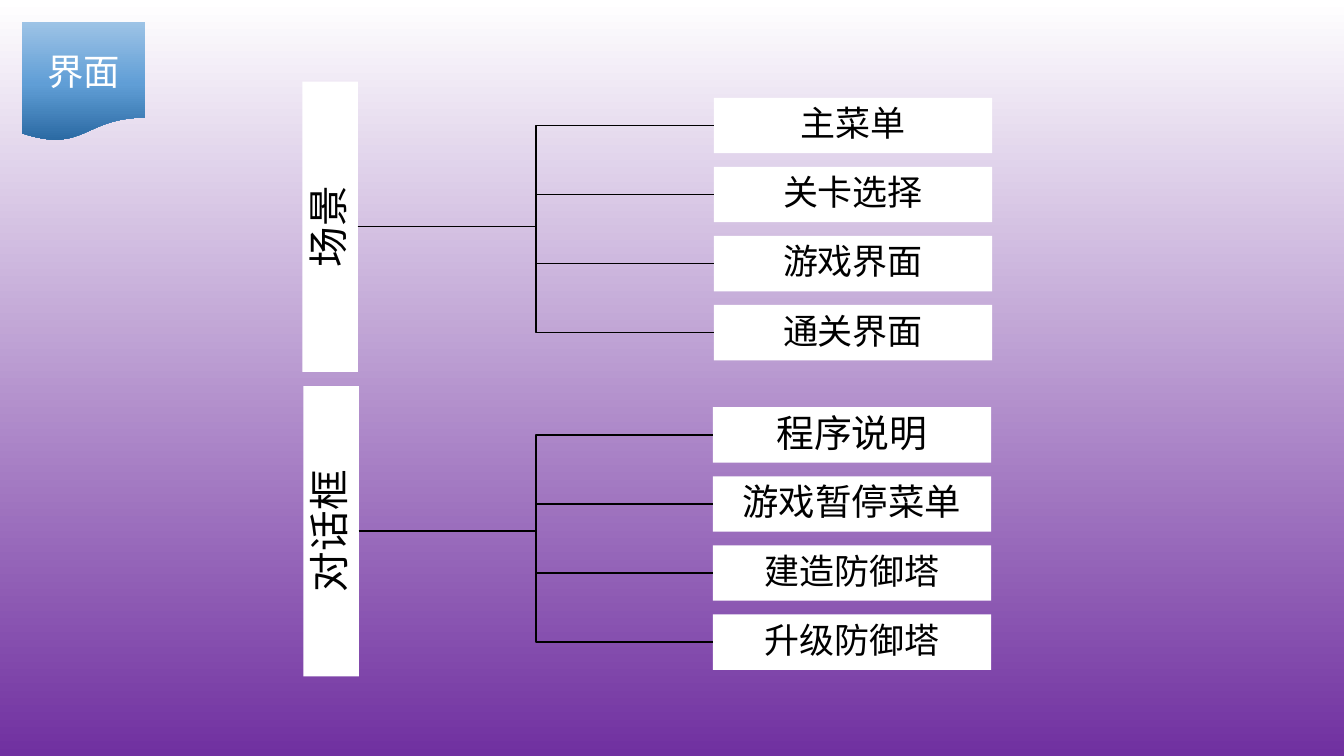
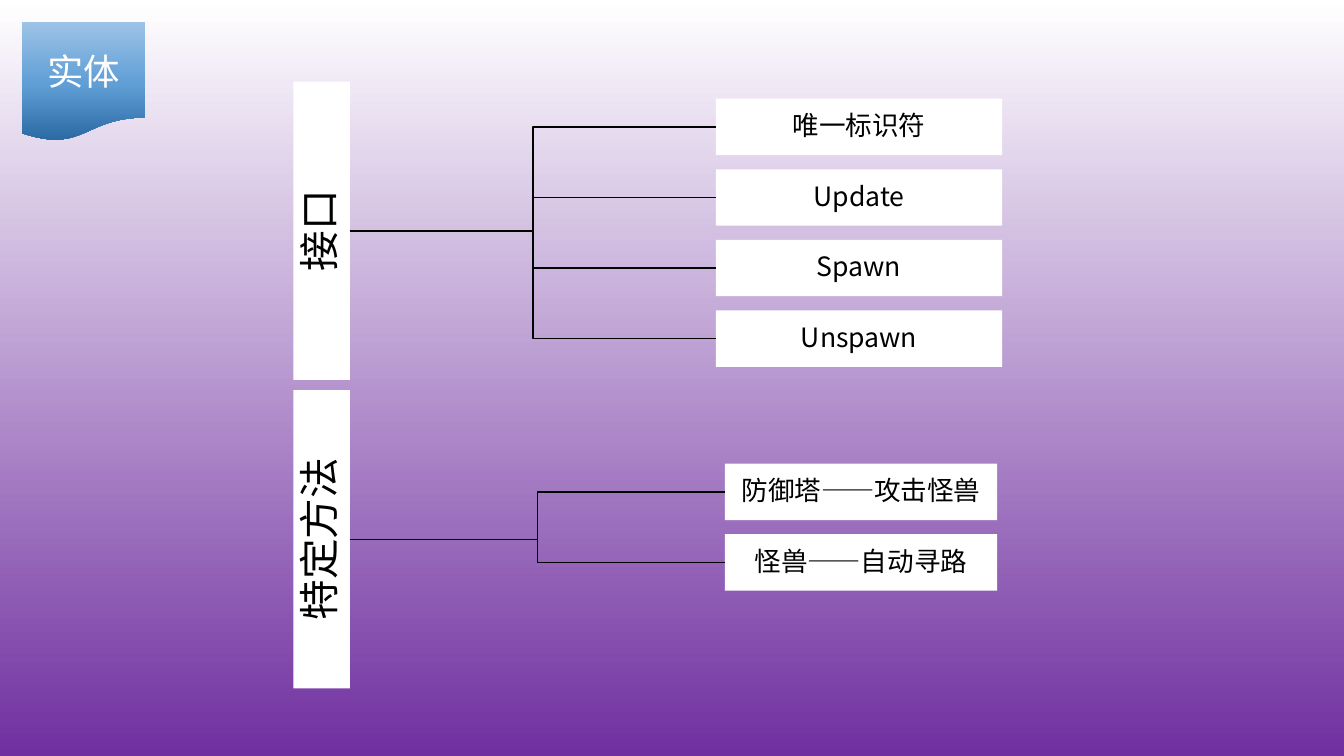
import pptx
import pptx.dml.color
import pptx.enum.shapes
import pptx.enum.text
import pptx.oxml.ns
import pptx.util
from copy import deepcopy
from lxml import etree

Inches = pptx.util.Inches
qn = pptx.oxml.ns.qn
SHAPES = pptx.enum.shapes.MSO_SHAPE

FONT = "Noto Sans CJK SC"
COLORS = {
    "white": "FFFFFF",
    "black": "000000",
    "purple": "7030A0",
    "ribbon_light": "9DC3E6",
    "ribbon_mid": "609ED6",
    "ribbon_dark": "2A69A2",
}
RIBBON_BOX = (0.22, 0.22, 1.22, 1.18)
TITLE_BOX = (0.22, 0.22, 1.22, 0.97)

# Each tree: trunk box, first leaf box, leaf pitch, leaf texts with sizes
SLIDES = [
    ("界面", [
        {"trunk": "场景", "trunk_box": (3, 0.81, 0.55, 2.88),
         "leaf_box": (7.08, 0.97, 2.76, 0.55), "pitch": 0.685,
         "leaves": [("主菜单", 25), ("关卡选择", 25),
                    ("游戏界面", 25), ("通关界面", 25)]},
        {"trunk": "对话框", "trunk_box": (3.01, 3.83, 0.55, 2.88),
         "leaf_box": (7.07, 4.04, 2.76, 0.55), "pitch": 0.685,
         "leaves": [("程序说明", 27), ("游戏暂停菜单", 26),
                    ("建造防御塔", 25), ("升级防御塔", 25)]},
    ]),
    ("实体", [
        {"trunk": "接口", "trunk_box": (2.91, 0.81, 0.56, 2.96),
         "leaf_box": (7.1, 0.98, 2.84, 0.56), "pitch": 0.7,
         "leaves": [("唯一标识符", 19), ("Update", 19),
                    ("Spawn", 19), ("Unspawn", 19)]},
        {"trunk": "特定方法", "trunk_box": (2.91, 3.87, 0.56, 2.96),
         "leaf_box": (7.19, 4.6, 2.7, 0.56), "pitch": 0.7,
         "leaves": [("防御塔——攻击怪兽", 19), ("怪兽——自动寻路", 19)]},
    ]),
]


def rgb(name):
    return pptx.dml.color.RGBColor.from_string(COLORS[name])


def apply_gradient(fill, element, stops):
    """Fill from top to bottom with (position, colour name) stops."""
    fill.gradient()
    fill.gradient_angle = 270
    stop_list = next(element.iter(qn("a:gsLst")))
    while len(stop_list) < len(stops):
        stop_list.append(deepcopy(stop_list[-1]))
    for gradient_stop, (position, color) in zip(fill.gradient_stops, stops):
        gradient_stop.position = position
        gradient_stop.color.rgb = rgb(color)


def write_text(shape, text, *, size, color="black", margin=0.02,
               line_spacing=None, vertical=False):
    frame = shape.text_frame
    frame.word_wrap = True
    frame.auto_size = pptx.enum.text.MSO_AUTO_SIZE.NONE
    frame.vertical_anchor = pptx.enum.text.MSO_ANCHOR.MIDDLE
    frame.margin_left = frame.margin_right = Inches(margin)
    frame.margin_top = frame.margin_bottom = Inches(margin)
    if vertical:
        frame._txBody.bodyPr.set("vert", "vert270")
    paragraph = frame.paragraphs[0]
    paragraph.alignment = pptx.enum.text.PP_ALIGN.CENTER
    paragraph.line_spacing = line_spacing
    run = paragraph.add_run()
    run.text = text
    run.font.size = pptx.util.Pt(size)
    run.font.name = FONT
    run.font.color.rgb = rgb(color)
    # East Asian glyphs take their own typeface entry
    etree.SubElement(run.font._element, qn("a:ea"), typeface=FONT)


def add_plain_shape(slide, kind, box):
    shape = slide.shapes.add_shape(kind, *map(Inches, box))
    shape.shadow.inherit = False
    shape.line.fill.background()
    return shape


def add_ribbon_title(slide, text):
    ribbon = add_plain_shape(slide, SHAPES.FLOWCHART_DOCUMENT, RIBBON_BOX)
    apply_gradient(ribbon.fill, ribbon.element,
                   [(0, "ribbon_light"), (0.52, "ribbon_mid"), (1, "ribbon_dark")])
    title = slide.shapes.title
    title.left, title.top, title.width, title.height = map(Inches, TITLE_BOX)
    write_text(title, text, size=26, color="white")
    # Bring the title in front of its ribbon
    ribbon.element.addnext(title.element)


def add_node(slide, text, box, **text_format):
    node = add_plain_shape(slide, SHAPES.RECTANGLE, box)
    node.fill.solid()
    node.fill.fore_color.rgb = rgb("white")
    write_text(node, text, line_spacing=0.9, **text_format)
    return node


def add_branch(slide, trunk, leaf):
    branch = slide.shapes.add_connector(
        pptx.enum.shapes.MSO_CONNECTOR.ELBOW, 0, 0, 0, 0)
    branch.begin_connect(trunk, 3)
    branch.end_connect(leaf, 1)
    branch.line.color.rgb = rgb("black")
    branch.line.width = pptx.util.Pt(1)
    etree.SubElement(branch.element.spPr, qn("a:effectLst"))


def add_tree(slide, tree):
    trunk = add_node(slide, tree["trunk"], tree["trunk_box"], size=29, vertical=True)
    left, top, width, height = tree["leaf_box"]
    for row, (text, size) in enumerate(tree["leaves"]):
        leaf_box = (left, top + row * tree["pitch"], width, height)
        leaf = add_node(slide, text, leaf_box, size=size)
        add_branch(slide, trunk, leaf)


def main():
    prs = pptx.Presentation()
    prs.slide_width, prs.slide_height = Inches(13.33), Inches(7.5)

    # Shared background
    master = prs.slide_master
    apply_gradient(master.background.fill, master.element,
                   [(0, "white"), (1, "purple")])

    title_only = prs.slide_layouts.get_by_name("Title Only")
    for title, trees in SLIDES:
        slide = prs.slides.add_slide(title_only)
        add_ribbon_title(slide, title)
        for tree in trees:
            add_tree(slide, tree)

    prs.save("out.pptx")


if __name__ == "__main__":
    main()
